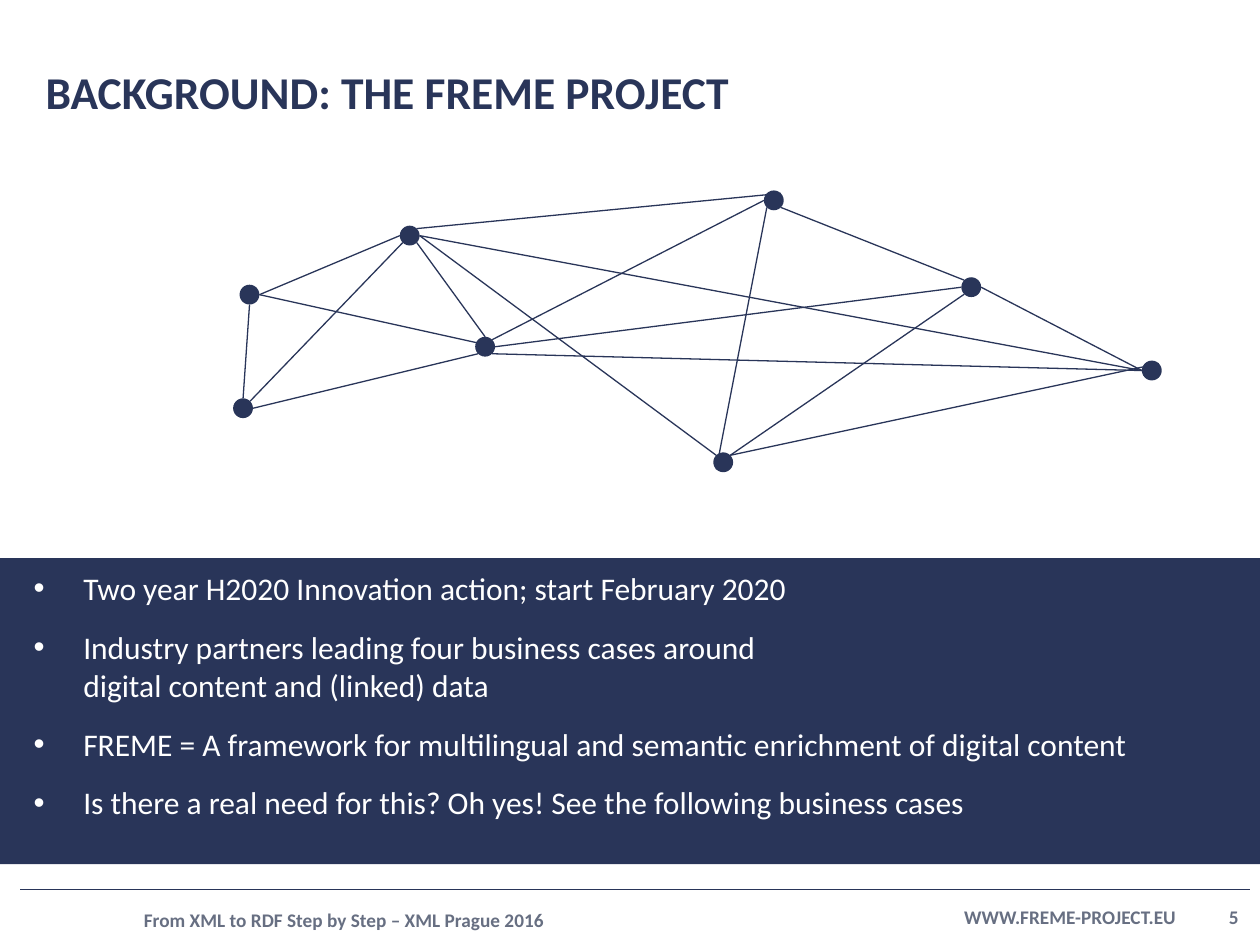
from dataclasses import dataclass
from math import cos, radians, sin

from lxml.etree import SubElement
from pptx import Presentation
from pptx.dml.color import RGBColor
from pptx.enum.shapes import MSO_CONNECTOR as Connector, MSO_SHAPE as Shape
from pptx.enum.text import MSO_ANCHOR as Anchor, PP_ALIGN as Align
from pptx.oxml.ns import qn
from pptx.util import Cm, Pt


@dataclass(frozen=True)
class Theme:
    font: str = "Calibri"
    navy: RGBColor = RGBColor(0x29, 0x35, 0x59)
    grey: RGBColor = RGBColor(0x67, 0x6F, 0x82)
    white: RGBColor = RGBColor(0xFF, 0xFF, 0xFF)
    title_size: int = 26
    body_size: int = 18
    footer_size: int = 11
    link_width: float = 0.75
    rule_width: float = 1


THEME = Theme()

# Network: node centres in cm, then links between points on the node rims
NODE_RADIUS = 0.2
NODES = {
    "west": (5.03, 5.94),
    "northwest": (8.26, 4.75),
    "southwest": (4.9, 8.23),
    "hub": (9.78, 6.99),
    "north": (15.6, 4.04),
    "northeast": (19.58, 5.79),
    "south": (14.58, 9.32),
    "east": (23.22, 7.47),
}
RIM_ANGLES = {"E": 0, "SE": 45, "S": 90, "SW": 135,
              "W": 180, "NW": 225, "N": 270, "NE": 315}
LINKS = [
    ("hub", "E", "northeast", "W"),
    ("south", "NE", "northeast", "SW"),
    ("northeast", "NW", "north", "SE"),
    ("northeast", "E", "east", "W"),
    ("northwest", "SE", "hub", "N"),
    ("northwest", "E", "south", "NW"),
    ("west", "E", "northwest", "W"),
    ("southwest", "NE", "northwest", "SW"),
    ("west", "E", "hub", "E"),
    ("southwest", "N", "west", "S"),
    ("southwest", "E", "hub", "SW"),
    ("northwest", "NE", "north", "NE"),
    ("south", "SW", "north", "SW"),
    ("hub", "NE", "north", "W"),
    ("northwest", "E", "east", "W"),
    ("hub", "SE", "east", "W"),
    ("south", "NE", "east", "NE"),
]

# Each bullet is a list of lines
BULLETS = [
    ["Two year H2020 Innovation action; start February 2020"],
    ["Industry partners leading four business cases around",
     "digital content and (linked) data"],
    ["FREME = A framework for multilingual and semantic enrichment of digital content"],
    ["Is there a real need for this? Oh yes! See the following business cases"],
]


def add_run(paragraph, text, size, color, bold=False):
    run = paragraph.add_run()
    run.text = text
    run.font.name = THEME.font
    run.font.size = Pt(size)
    run.font.bold = bold
    run.font.color.rgb = color


def add_label(slide, box, text, size, color, align=Align.LEFT):
    frame = slide.shapes.add_textbox(*map(Cm, box)).text_frame
    frame.word_wrap = True
    frame.vertical_anchor = Anchor.MIDDLE
    frame.margin_left = frame.margin_right = 0
    frame.margin_top = frame.margin_bottom = 0
    paragraph = frame.paragraphs[0]
    paragraph.alignment = align
    add_run(paragraph, text, size, color, bold=True)


def add_solid(slide, kind, box):
    shape = slide.shapes.add_shape(kind, *map(Cm, box))
    shape.shadow.inherit = False
    shape.fill.solid()
    shape.fill.fore_color.rgb = THEME.navy
    shape.line.fill.background()


def add_line(slide, start, end, width):
    line = slide.shapes.add_connector(
        Connector.STRAIGHT, *map(Cm, (*start, *end)))
    line.line.color.rgb = THEME.navy
    line.line.width = Pt(width)
    SubElement(line._element.spPr, qn("a:effectLst"))


def set_bullet(paragraph, indent):
    properties = paragraph._p.get_or_add_pPr()
    properties.set("marL", str(indent))
    properties.set("indent", str(-indent))
    color = SubElement(properties, qn("a:buClr"))
    SubElement(color, qn("a:srgbClr"), val=str(THEME.white))
    SubElement(properties, qn("a:buFont"), typeface="Arial")
    SubElement(properties, qn("a:buChar"), char="•")


def add_bullets(slide, box):
    frame = slide.shapes.add_textbox(*map(Cm, box)).text_frame
    frame.word_wrap = True
    for index, lines in enumerate(BULLETS):
        paragraph = frame.add_paragraph() if index else frame.paragraphs[0]
        set_bullet(paragraph, Cm(1))
        if index:
            paragraph.space_before = Pt(12)
        for number, line in enumerate(lines):
            if number:
                paragraph.add_line_break()
            add_run(paragraph, line, THEME.body_size, THEME.white)


def rim_point(node, side):
    x, y = NODES[node]
    angle = radians(RIM_ANGLES[side])
    return x + NODE_RADIUS * cos(angle), y + NODE_RADIUS * sin(angle)


def add_network(slide):
    for start, start_side, end, end_side in LINKS:
        add_line(slide, rim_point(start, start_side),
                 rim_point(end, end_side), THEME.link_width)
    size = 2 * NODE_RADIUS
    for x, y in NODES.values():
        add_solid(slide, Shape.OVAL,
                  (x - NODE_RADIUS, y - NODE_RADIUS, size, size))


def add_footer(slide):
    add_line(slide, (0.41, 17.93), (25.2, 17.93), THEME.rule_width)
    for box, text, align in [
        ((2.9, 18.26, 16.28, 0.58),
         "From XML to RDF Step by Step – XML Prague 2016", Align.LEFT),
        ((18.69, 18.16, 5.77, 0.66), "WWW.FREME-PROJECT.EU", Align.CENTER),
        ((23.85, 18.16, 1.12, 0.66), "5", Align.RIGHT),
    ]:
        add_label(slide, box, text, THEME.footer_size, THEME.grey, align)


def main():
    presentation = Presentation()
    presentation.slide_width = Cm(25.4)
    presentation.slide_height = Cm(19.05)
    slide = presentation.slides.add_slide(presentation.slide_layouts[6])

    # Footer and title
    add_footer(slide)
    add_label(slide, (0.92, 0.92, 23.47, 1.85),
              "BACKGROUND: THE FREME PROJECT", THEME.title_size, THEME.navy)

    # Dark band with the bullet list
    add_solid(slide, Shape.RECTANGLE, (0, 11.25, 25.4, 6.17))
    add_bullets(slide, (0.43, 11.35, 23.47, 5.38))

    # Network drawing
    add_network(slide)

    presentation.save("out.pptx")


if __name__ == "__main__":
    main()
